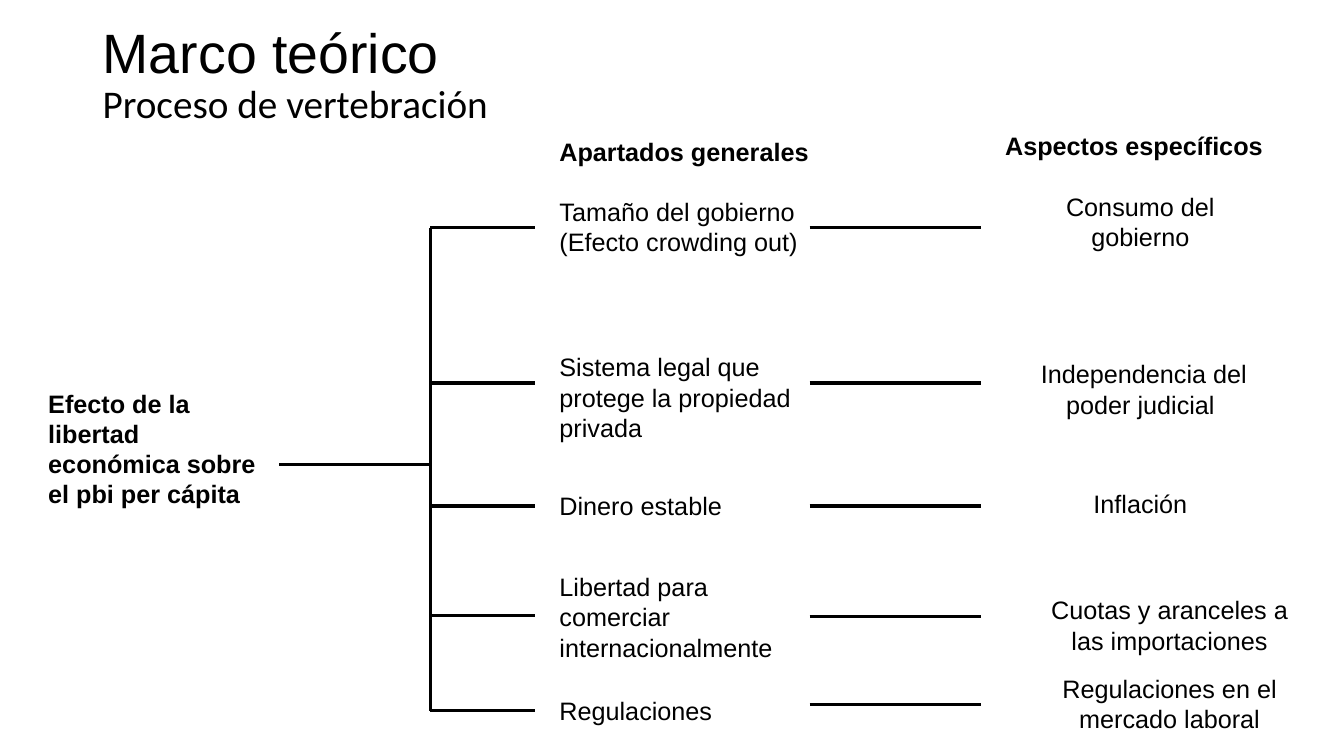
from lxml import etree
from pptx import Presentation
from pptx.dml.color import RGBColor
from pptx.enum.shapes import MSO_CONNECTOR
from pptx.enum.text import MSO_ANCHOR, PP_ALIGN
from pptx.oxml.ns import qn
from pptx.util import Inches, Pt

BLACK = "000000"
TRUNK_X, BRANCH_END, LINK_START, LINK_END = 4.27, 5.31, 8.03, 9.73
ROOT_Y = 4.61
GENERAL_LEFT, COLUMN_WIDTH = 5.45, 2.58

presentation = Presentation()
presentation.slide_width = Inches(13.33)
presentation.slide_height = Inches(7.5)
slide = presentation.slides.add_slide(presentation.slide_layouts[5])


def write(shape, box, lines, size=18, bold=False, font="Arial",
          align=PP_ALIGN.LEFT, anchor=MSO_ANCHOR.TOP, spacing=1.0):
    """Place a text shape and fill it, one paragraph per line."""
    shape.left, shape.top, shape.width, shape.height = map(Inches, box)
    frame = shape.text_frame
    frame.word_wrap = True
    frame.vertical_anchor = anchor
    for index, line in enumerate(lines):
        paragraph = frame.add_paragraph() if index else frame.paragraphs[0]
        paragraph.alignment = align
        paragraph.line_spacing = spacing
        run = paragraph.add_run()
        run.text = line
        run.font.name = font
        run.font.size = Pt(size)
        run.font.bold = bold
        run.font.color.rgb = RGBColor.from_string(BLACK)
    return shape


def draw_line(x1, y1, x2, y2):
    """Draw a straight black line without a shadow."""
    line = slide.shapes.add_connector(
        MSO_CONNECTOR.STRAIGHT, *map(Inches, (x1, y1, x2, y2)))
    line.line.color.rgb = RGBColor.from_string(BLACK)
    line.line.width = Pt(2.25)
    etree.SubElement(line._element.spPr, qn("a:effectLst"))
    return line


# Title and subtitle
write(slide.shapes.title, (0.92, 0.23, 4.79, 0.65), ["Marco teórico"],
      size=39.6, anchor=MSO_ANCHOR.MIDDLE, spacing=0.9)

# Subtitle, root topic and column headings: box, lines, format
labels = [
    ((0.92, 0.79, 11.5, 0.65), ["Proceso de vertebración"],
     {"size": 28, "font": "Calibri", "spacing": 0.9}),
    ((0.38, 3.8, 2.52, 1.62),
     ["Efecto de la libertad", "económica sobre el pbi per cápita"],
     {"bold": True}),
    ((GENERAL_LEFT, 1.3, 2.89, 0.4), ["Apartados generales"], {"bold": True}),
    ((9.87, 1.24, 2.89, 0.4), ["Aspectos específicos"], {"bold": True}),
]
for box, lines, text_format in labels:
    write(slide.shapes.add_textbox(0, 0, 0, 0), box, lines, **text_format)

# Rows: general lines, top, height, branch y, link y, specific text and box
rows = [
    (["Tamaño del gobierno", "(Efecto crowding out)"], 1.9, 0.72, 2.26, 2.26,
     "Consumo del gobierno", (10.46, 1.85, 1.7, 1.01)),
    (["Sistema legal que protege la propiedad privada"], 3.44, 1.01, 3.8, 3.8,
     " Independencia del poder judicial", (10.02, 3.51, COLUMN_WIDTH, 0.71)),
    (["Dinero estable"], 4.82, 0.4, 5.02, 5.02,
     "Inflación", (10.02, 4.8, COLUMN_WIDTH, 0.4)),
    (["Libertad para comerciar internacionalmente"], 5.62, 1.0, 6.11, 6.12,
     "Cuotas y aranceles a las importaciones",
     (10.31, 5.85, COLUMN_WIDTH, 1.01)),
    (["Regulaciones"], 6.85, 0.4, 7.05, 6.99,
     "Regulaciones en el mercado laboral",
     (10.31, 6.63, COLUMN_WIDTH, 1.01)),
]

# Root line and the two halves of the trunk
draw_line(2.77, ROOT_Y, TRUNK_X, ROOT_Y)
for trunk_end in (rows[0][3], rows[-1][3]):
    draw_line(TRUNK_X, ROOT_Y, TRUNK_X, trunk_end)

# Branch, general section, link and specific aspect of each row
for general, top, height, branch_y, link_y, specific, specific_box in rows:
    draw_line(TRUNK_X, branch_y, BRANCH_END, branch_y)
    section = write(slide.shapes.add_textbox(0, 0, 0, 0),
                    (GENERAL_LEFT, top, COLUMN_WIDTH, height), general)
    link = draw_line(LINK_START, link_y, LINK_END, link_y)
    if abs(top + height / 2 - link_y) < 0.01:
        link.begin_connect(section, 3)
    write(slide.shapes.add_textbox(0, 0, 0, 0), specific_box, [specific],
          align=PP_ALIGN.CENTER)

presentation.save("out.pptx")
